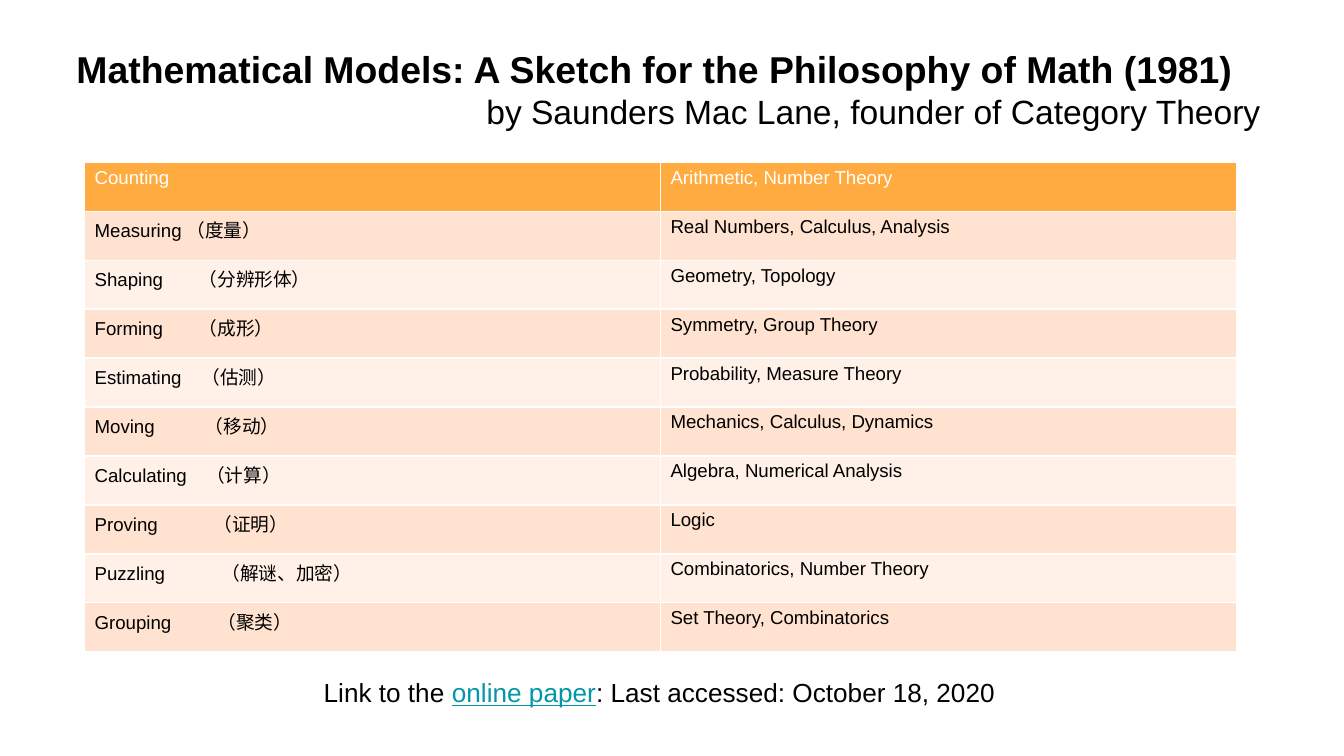
from lxml import etree
from pptx import Presentation
from pptx.dml.color import RGBColor
from pptx.enum.text import MSO_AUTO_SIZE
from pptx.oxml.ns import qn
from pptx.util import Inches, Pt

FIT_SHAPE = MSO_AUTO_SIZE.SHAPE_TO_FIT_TEXT
FONT = "Arial"
COLORS = {
    "text": "000000",
    "white": "FFFFFF",
    "link": "0097A7",
    "header": "FFAB40",
    "odd": "FFE2CF",
    "even": "FFF1E8",
}
WIDTH = Inches(10)
HEIGHT = WIDTH * 9 // 16
UNIT = WIDTH / 100

ACTIVITIES = [
    ("Counting", None, "Arithmetic, Number Theory"),
    ("Measuring （度量）", None, "Real Numbers, Calculus, Analysis"),
    ("Shaping\t（分辨形体）", 7.75, "Geometry, Topology"),
    ("Forming\t（成形）", 7.75, "Symmetry, Group Theory"),
    ("Estimating\t（估测）", 7.95, "Probability, Measure Theory"),
    ("Moving\t（移动）", 8.2, "Mechanics, Calculus, Dynamics"),
    ("Calculating\t（计算）", 8.3, "Algebra, Numerical Analysis"),
    ("Proving\t（证明）", 8.85, "Logic"),
    ("Puzzling\t（解谜、加密）", 9.45, "Combinatorics, Number Theory"),
    ("Grouping\t（聚类）", 9.15, "Set Theory, Combinatorics"),
]


def grid(*lengths):
    return [round(length * UNIT) for length in lengths]


def rgb(name):
    return RGBColor.from_string(COLORS[name])


def style(font, size, color, bold=False):
    font.name = FONT
    font.size = Pt(size)
    font.bold = bold
    font.color.rgb = rgb(color)


def add_line(s, box, parts, size, wrap=False, bold=False):
    tf = s.shapes.add_textbox(*grid(*box)).text_frame
    tf.word_wrap = wrap
    tf.auto_size = FIT_SHAPE
    for text, color in parts:
        r = tf.paragraphs[0].add_run()
        r.text = text
        style(r.font, size, color, bold)
        if color == "link":
            r.font.underline = True


def set_borders(cell):
    tc_pr = cell._tc.get_or_add_tcPr()
    for side in "LRTB":
        ln = etree.SubElement(tc_pr, qn(f"a:ln{side}"), w=str(Pt(1)))
        fill = etree.SubElement(ln, qn("a:solidFill"))
        etree.SubElement(fill, qn("a:srgbClr"), val=COLORS["white"])


def set_tab(p, position):
    tabs = etree.SubElement(p._p.get_or_add_pPr(), qn("a:tabLst"))
    etree.SubElement(tabs, qn("a:tab"), pos=str(grid(position)[0]), algn="l")


def fill_cell(cell, text, tab, fill, color):
    cell.margin_left = cell.margin_right = Pt(5.4)
    cell.margin_top = cell.margin_bottom = Pt(2.7)
    set_borders(cell)
    cell.fill.solid()
    cell.fill.fore_color.rgb = rgb(fill)
    cell.text_frame.text = text
    p = cell.text_frame.paragraphs[0]
    if tab:
        set_tab(p, tab)
    style(p.runs[0].font, 10, color)


def add_activity_table(s, box):
    left, top, width, height = grid(*box)
    count = len(ACTIVITIES)
    table = s.shapes.add_table(count, 2, left, top, width, height).table
    for column in table.columns:
        column.width = width // 2
    for i, (activity, tab, field) in enumerate(ACTIVITIES):
        table.rows[i].height = height // count
        fill = "header" if i == 0 else ("even", "odd")[i % 2]
        color = "white" if i == 0 else "text"
        fill_cell(table.cell(i, 0), activity, tab, fill, color)
        fill_cell(table.cell(i, 1), field, None, fill, color)


def add_heading(s, title_box, author_box):
    title = "Mathematical Models: A Sketch for the Philosophy of Math (1981)"
    author = "by Saunders Mac Lane, founder of Category Theory"
    add_line(s, title_box, [(title, "text")], 20, bold=True)
    add_line(s, author_box, [(author, "text")], 18, wrap=True)


def add_reference(s, box):
    parts = [
        ("Link to the ", "text"),
        ("online paper", "link"),
        (": Last accessed: October 18, 2020", "text"),
    ]
    add_line(s, box, parts, 14)


def main():
    prs = Presentation()
    prs.slide_width, prs.slide_height = WIDTH, HEIGHT
    s = prs.slides.add_slide(prs.slide_layouts[6])
    add_heading(s, (4.7, 2.95, 88.9, 4.4), (35.2, 6.3, 60.1, 4))
    add_activity_table(s, (6.3, 12.1, 85.7, 36.4))
    add_reference(s, (23.1, 49.85, 52.2, 3.4))
    prs.save("out.pptx")


if __name__ == "__main__":
    main()
